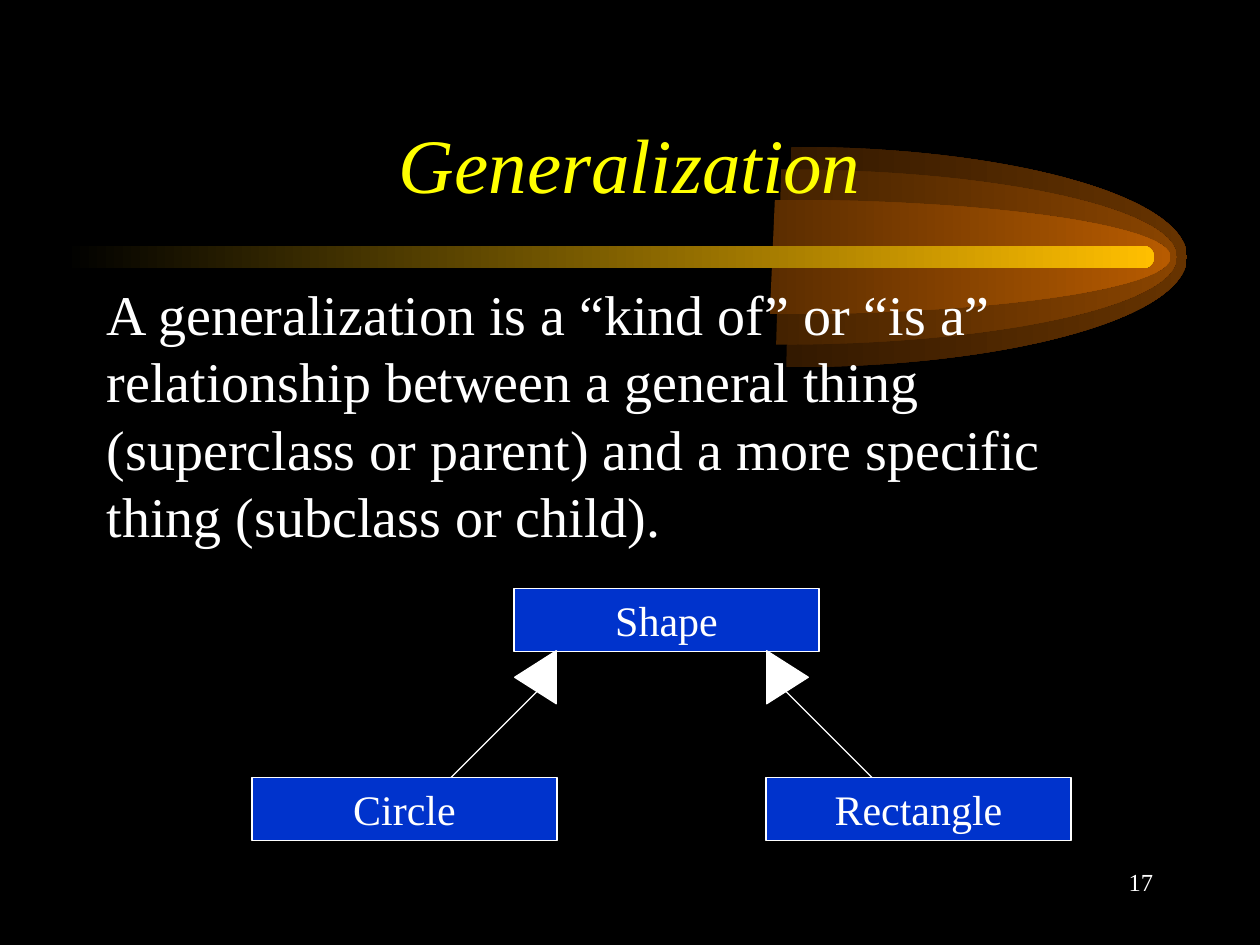
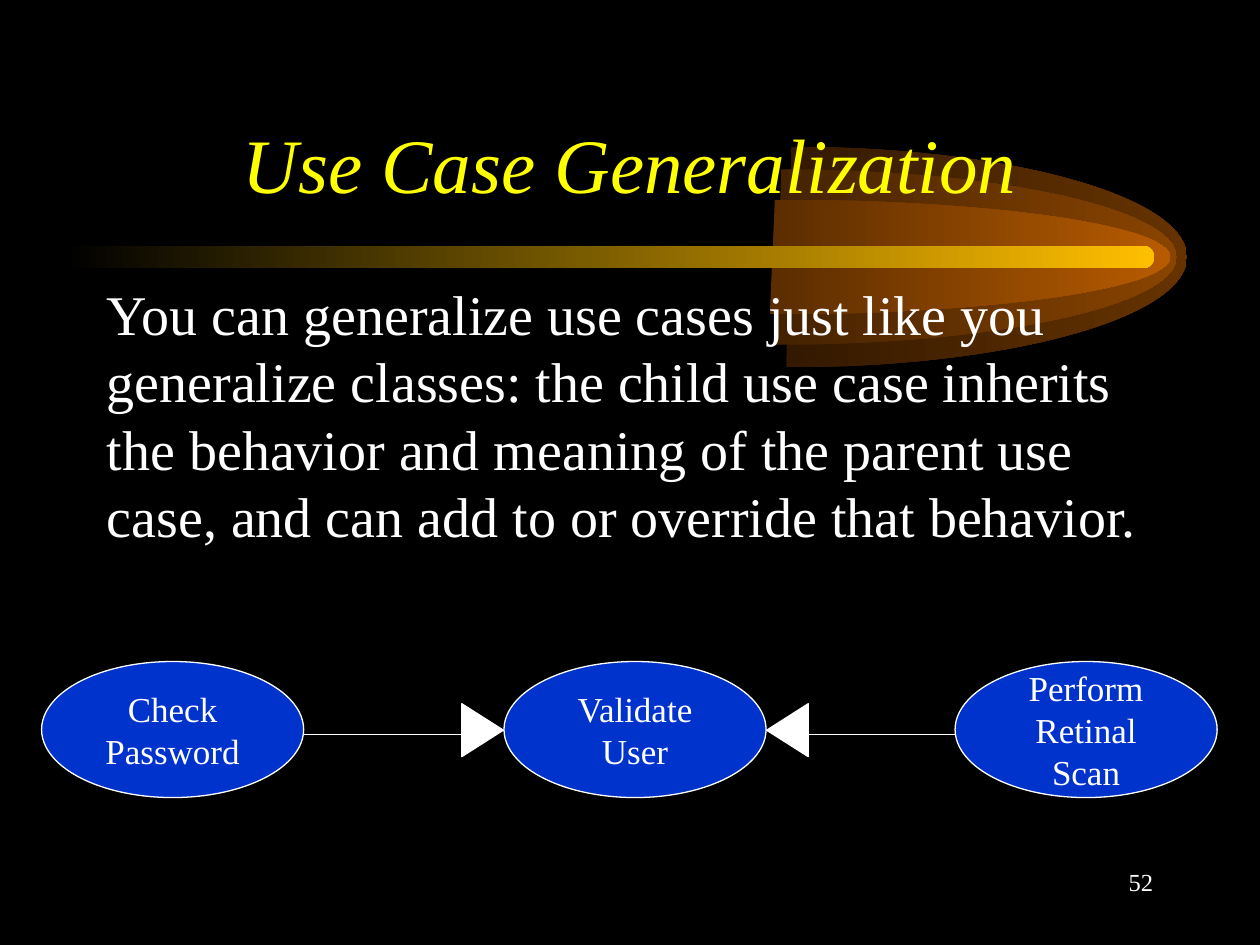
from dataclasses import dataclass

from lxml.etree import SubElement
from pptx import Presentation
from pptx.dml.color import RGBColor
from pptx.enum.shapes import MSO_CONNECTOR, MSO_SHAPE
from pptx.enum.text import MSO_ANCHOR, PP_ALIGN
from pptx.oxml.ns import qn
from pptx.util import Inches, Pt


@dataclass(frozen=True)
class Theme:
    font: str = "Times New Roman"
    back: str = "000000"
    ink: str = "FFFFFF"
    head: str = "FFFF00"
    node: str = "0033CC"
    bar: str = "FFBF00"
    glow: tuple = ("663300", "894400", "B75B00")
    title: int = 44
    body: int = 32
    box: int = 24
    oval: int = 20
    page: int = 14
    line: float = 0.75


THEME = Theme()


def rgb(code):
    return RGBColor.from_string(code)


def half(code):
    """Colour midway between black and the given one."""
    return "".join(f"{int(code[i:i + 2], 16) // 2:02X}" for i in (0, 2, 4))


def place(shape, left, top, width, height):
    shape.left, shape.top = Inches(left), Inches(top)
    shape.width, shape.height = Inches(width), Inches(height)


def write(shape, text, size, align, anchor, color=THEME.ink, italic=False, wrap=True):
    frame = shape.text_frame
    frame.text = text
    frame.word_wrap = wrap
    frame.vertical_anchor = anchor
    for para in frame.paragraphs:
        para.alignment = align
        font = para.font
        font.name, font.size, font.italic = THEME.font, Pt(size), italic
        font.color.rgb = rgb(color)


def blend(shape, start, end):
    """Fill from left to right, with no line or shadow."""
    shape.shadow.inherit = False
    shape.line.fill.background()
    shape.fill.gradient()
    shape.fill.gradient_angle = 0
    for stop, code in zip(shape.fill.gradient_stops, (start, end)):
        stop.color.rgb = rgb(code)


def solid(slide, kind, box, color):
    shape = slide.shapes.add_shape(kind, *map(Inches, box))
    shape.shadow.inherit = False
    shape.fill.solid()
    shape.fill.fore_color.rgb = rgb(color)
    shape.line.color.rgb = rgb(THEME.ink)
    shape.line.width = Pt(THEME.line)
    return shape


def node(slide, kind, box, text, size):
    shape = solid(slide, kind, box, THEME.node)
    write(shape, text, size, PP_ALIGN.CENTER, MSO_ANCHOR.MIDDLE, wrap=False)


def tip(slide, left, top, spin):
    shape = solid(slide, MSO_SHAPE.ISOSCELES_TRIANGLE, (left, top, 0.42, 0.33), THEME.ink)
    shape.rotation = spin


def link(slide, *ends):
    line = slide.shapes.add_connector(MSO_CONNECTOR.STRAIGHT, *map(Inches, ends))
    line.line.color.rgb = rgb(THEME.ink)
    line.line.width = Pt(THEME.line)
    SubElement(line._element.spPr, qn("a:effectLst"))


def bow(slide, left, mid, wide, tall):
    """Right half of an oval, as two curves; its blunt side leans."""
    lean, bend = 0.02, 0.55
    end, rise = left + wide, tall / 2
    dots = [(left + lean, mid - rise), (left + bend * wide, mid - rise),
            (end, mid - bend * rise), (end, mid), (end, mid + bend * rise),
            (left + bend * wide, mid + rise), (left - lean, mid + rise)]
    dots = [(Inches(x), Inches(y)) for x, y in dots]
    pen = slide.shapes.build_freeform(*dots[0])
    pen.add_line_segments(dots[1:], close=True)
    shape = pen.convert_to_shape()
    # Each three line ends become one curve
    legs = list(shape._element.iter(qn("a:lnTo")))
    for i in (0, 3):
        legs[i].tag = qn("a:cubicBezTo")
        for leg in legs[i + 1:i + 3]:
            legs[i].append(leg[0])
            leg.getparent().remove(leg)
    return shape


def comet(deck, slide, left, top, width, height):
    """Draw the band, then move it to the master that all slides share."""
    parts = []
    # Three nested half ovals
    for start, tall, code in zip((6.26, 6.18, 6.13), (1.75, 1.39, 0.91), THEME.glow):
        shape = bow(slide, start, top + height / 2, 3.16, tall)
        blend(shape, half(code), code)
        parts.append(shape)
    # Bright bar
    bar = slide.shapes.add_shape(MSO_SHAPE.ROUNDED_RECTANGLE,
                                 *map(Inches, (left, top, width, height)))
    bar.adjustments[0] = 0.5
    blend(bar, THEME.back, THEME.bar)
    parts.append(bar)
    # Behind the master's placeholders
    tree = deck.slide_master.shapes._spTree
    for i, part in enumerate(parts):
        part._element.nvSpPr.cNvPr.id = 100 + i
        tree.insert(2 + i, part._element)


def frame(deck, title, text, page):
    """Add a slide with its title, body and page number."""
    slide = deck.slides.add_slide(deck.slide_layouts[5])
    head = slide.shapes.title
    place(head, 0.75, 0.67, 8.5, 1.25)
    write(head, title, THEME.title, PP_ALIGN.CENTER, MSO_ANCHOR.MIDDLE,
          THEME.head, italic=True)
    # Body and page number
    for box, words, size, align in (
            ((0.75, 2.17, 8.5, 4.5), text, THEME.body, PP_ALIGN.LEFT),
            ((7.17, 6.83, 2.08, 0.5), page, THEME.page, PP_ALIGN.RIGHT)):
        note = slide.shapes.add_textbox(*map(Inches, box))
        write(note, words, size, align, MSO_ANCHOR.TOP)
    return slide


def tree(slide, left, top, width, height):
    wide, tall = 2.42, 0.5
    low = top + height - tall
    mid = left + width / 2
    # Parent over two children
    for x, y, name in ((left + 2.08, top, "Shape"),
                       (left + width - wide, low, "Rectangle"),
                       (left, low, "Circle")):
        node(slide, MSO_SHAPE.RECTANGLE, (x, y, wide, tall), name, THEME.box)
    # Arrows up to the parent
    for side, spin in ((-1, 270), (1, 90)):
        tip(slide, mid + side - 0.21, top + 0.54, spin)
        link(slide, mid + side * 1.67, low, mid + side * 0.92, low - 0.75)


def row(slide, left, top, width, height):
    wide = 2.08
    hub, last = left + 3.67, left + width - wide
    # Parent between two children
    for x, name in ((hub, "Validate\nUser"), (left, "Check\nPassword"),
                    (last, "Perform\nRetinal\nScan")):
        node(slide, MSO_SHAPE.OVAL, (x, top, wide, height), name, THEME.oval)
    # Arrows in to the parent
    y = top + 0.58
    tip(slide, hub - 0.38, top + 0.38, 90)
    tip(slide, hub + wide - 0.04, top + 0.38, 270)
    link(slide, left + wide, y, hub - 0.25, y)
    link(slide, hub + wide + 0.34, y, last, y)


def main():
    deck = Presentation()
    deck.slide_width, deck.slide_height = Inches(10), Inches(7.5)
    back = deck.slide_master.background.fill
    back.solid()
    back.fore_color.rgb = rgb(THEME.back)

    slide = frame(deck, "Generalization",
                  "A generalization is a “kind of” or “is a” relationship between "
                  "a general thing (superclass or parent) and a more specific "
                  "thing (subclass or child).", "17")
    comet(deck, slide, 0.5, 1.95, 8.66, 0.18)
    tree(slide, 2, 4.67, 6.5, 2)

    slide = frame(deck, "Use Case Generalization",
                  "You can generalize use cases just like you generalize classes: "
                  "the child use case inherits the behavior and meaning of the "
                  "parent use case, and can add to or override that behavior.", "52")
    row(slide, 0.33, 5.25, 9.33, 1.08)

    deck.save("out.pptx")


if __name__ == "__main__":
    main()
